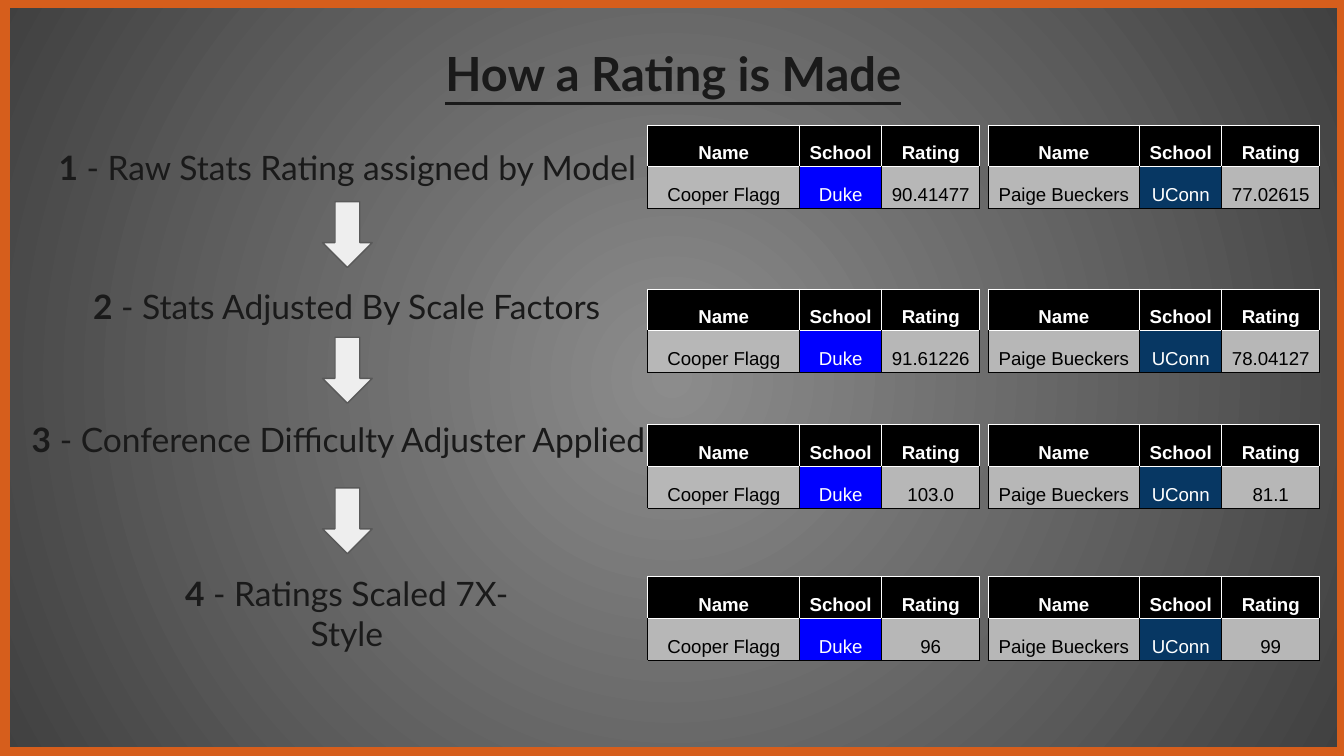
from dataclasses import dataclass

from lxml.etree import SubElement
from pptx import Presentation
from pptx.dml.color import RGBColor
from pptx.enum.shapes import MSO_SHAPE
from pptx.enum.text import MSO_ANCHOR, MSO_AUTO_SIZE, PP_ALIGN
from pptx.oxml import parse_xml
from pptx.oxml.ns import nsdecls, qn
from pptx.util import Inches, Pt

ORANGE = RGBColor(0xD6, 0x5E, 0x1C)
INK = RGBColor(0x1A, 0x1A, 0x1A)
WHITE = RGBColor(0xFF, 0xFF, 0xFF)
BLACK = RGBColor(0x00, 0x00, 0x00)
CELL_GRAY = RGBColor(0xB7, 0xB7, 0xB7)
ARROW_FILL = RGBColor(0xEE, 0xEE, 0xEE)
ARROW_LINE = RGBColor(0x59, 0x59, 0x59)
GLOW = RGBColor(0x8C, 0x8C, 0x8C)
SHADE = RGBColor(0x40, 0x40, 0x40)
BLUE = RGBColor(0x00, 0x00, 0xFF)
NAVY = RGBColor(0x07, 0x37, 0x63)

PAGE_WIDTH = Inches(10)
PAGE_HEIGHT = PAGE_WIDTH * 9 // 16
HEADERS = ("Name", "School", "Rating")
COLUMN_WIDTHS = (1.13, 0.61, 0.73)
ROW_HEIGHT = 0.31
ARROW_TOPS = (1.5, 2.51, 3.63)


@dataclass
class Player:
    name: str
    school: str
    color: RGBColor
    table_left: float


@dataclass
class Step:
    number: str
    label: str
    box: tuple[float, float, float, float]
    table_top: float
    ratings: tuple[str, str]


PLAYERS = (
    Player("Cooper Flagg", "Duke", BLUE, 4.82),
    Player("Paige Bueckers", "UConn", NAVY, 7.35),
)
STEPS = (
    Step("1", "Raw Stats Rating assigned by Model",
         (0.17, 0.99, 4.83, 0.5), 0.93, ("90.41477", "77.02615")),
    Step("2", "Stats Adjusted By Scale Factors",
         (-0.18, 2.03, 5.52, 0.37), 2.15, ("91.61226", "78.04127")),
    Step("3", "Conference Difficulty Adjuster Applied",
         (-0.24, 3.02, 5.52, 0.37), 3.16, ("103.0", "81.1")),
    Step("4", "Ratings Scaled 7X-Style",
         (1.07, 4.16, 3.02, 0.37), 4.29, ("96", "99")),
)


def add_span(para, text: str, *, size: float, color: RGBColor, font: str = "Lato",
             bold: bool = False, underline: bool = False) -> None:
    span = para.add_run()
    span.text = text
    span.font.name = font
    span.font.size = Pt(size)
    span.font.color.rgb = color
    span.font.bold = bold
    span.font.underline = underline


def prepare_frame(frame):
    """Set wrapping, margins and anchor; return the centred first paragraph."""
    frame.word_wrap = True
    frame.auto_size = MSO_AUTO_SIZE.NONE
    frame.vertical_anchor = MSO_ANCHOR.TOP
    frame.margin_left = frame.margin_right = Inches(0.1)
    frame.margin_top = frame.margin_bottom = Inches(0.1)
    para = frame.paragraphs[0]
    para.alignment = PP_ALIGN.CENTER
    return para


def paint_background(page) -> None:
    fill = page.background.fill
    fill.gradient()
    for stop, color, position in zip(fill.gradient_stops, (GLOW, SHADE), (0, 1)):
        stop.color.rgb = color
        stop.position = position
    # Turn the linear gradient into a circle around the middle
    linear = next(page.element.iter(qn("a:lin")))
    linear.getparent().replace(linear, parse_xml(
        f'<a:path {nsdecls("a")} path="circle">'
        '<a:fillToRect l="50000" t="50000" r="50000" b="50000"/></a:path>'))


def add_frame(page) -> None:
    border = page.shapes.add_shape(
        MSO_SHAPE.RECTANGLE, Inches(0.01), 0, PAGE_WIDTH, PAGE_HEIGHT)
    border.shadow.inherit = False
    border.fill.background()
    border.line.color.rgb = ORANGE
    border.line.width = Pt(9)


def add_title(page, text: str) -> None:
    title = page.shapes.title
    title.left, title.top = Inches(0.35), Inches(0.23)
    title.width, title.height = Inches(9.32), Inches(0.63)
    add_span(prepare_frame(title.text_frame), text,
             size=25.2, color=INK, bold=True, underline=True)


def add_step_label(page, step: Step) -> None:
    box = page.shapes.add_textbox(*map(Inches, step.box))
    para = prepare_frame(box.text_frame)
    add_span(para, step.number, size=18, color=INK, bold=True)
    add_span(para, f" - {step.label}", size=18, color=INK)


def add_arrow(page, top: float) -> None:
    arrow = page.shapes.add_shape(
        MSO_SHAPE.DOWN_ARROW, Inches(2.4), Inches(top), Inches(0.37), Inches(0.49))
    arrow.shadow.inherit = False
    arrow.fill.solid()
    arrow.fill.fore_color.rgb = ARROW_FILL
    arrow.line.color.rgb = ARROW_LINE
    arrow.line.width = Pt(0.75)


def set_borders(cell, sides: RGBColor) -> None:
    """Draw a white top edge and the other three edges in the given colour."""
    properties = cell._tc.get_or_add_tcPr()
    for edge, color in (("L", sides), ("R", sides), ("T", WHITE), ("B", sides)):
        line = SubElement(properties, qn(f"a:ln{edge}"), w=str(Pt(0.43)))
        solid = SubElement(line, qn("a:solidFill"))
        SubElement(solid, qn("a:srgbClr"), val=str(color))


def format_cell(cell, text: str, *, fill: RGBColor, color: RGBColor,
                border: RGBColor, bold: bool = False) -> None:
    set_borders(cell, border)
    cell.fill.solid()
    cell.fill.fore_color.rgb = fill
    cell.vertical_anchor = MSO_ANCHOR.BOTTOM
    cell.margin_left = cell.margin_right = Inches(0.03)
    cell.margin_top = cell.margin_bottom = Inches(0.02)
    para = cell.text_frame.paragraphs[0]
    para.alignment = PP_ALIGN.CENTER
    para.line_spacing = 1.15
    add_span(para, text, size=10, color=color, font="Arial", bold=bold)


def add_rating_table(page, player: Player, rating: str, top: float) -> None:
    table = page.shapes.add_table(
        2, len(HEADERS), Inches(player.table_left), Inches(top),
        Inches(sum(COLUMN_WIDTHS)), Inches(2 * ROW_HEIGHT)).table
    table.horz_banding = False
    for column, width in zip(table.columns, COLUMN_WIDTHS):
        column.width = Inches(width)
    values = (player.name, player.school, rating)
    fills = (CELL_GRAY, player.color, CELL_GRAY)
    colors = (BLACK, WHITE, BLACK)
    for index, header in enumerate(HEADERS):
        format_cell(table.cell(0, index), header,
                    fill=BLACK, color=WHITE, border=WHITE, bold=True)
        format_cell(table.cell(1, index), values[index],
                    fill=fills[index], color=colors[index], border=BLACK)


def main() -> None:
    deck = Presentation()
    deck.slide_width, deck.slide_height = PAGE_WIDTH, PAGE_HEIGHT
    page = deck.slides.add_slide(deck.slide_layouts[5])

    # Backdrop and title
    paint_background(page)
    add_frame(page)
    add_title(page, "How a Rating is Made")

    # Steps with one table per player
    for step in STEPS:
        add_step_label(page, step)
        for player, rating in zip(PLAYERS, step.ratings):
            add_rating_table(page, player, rating, step.table_top)

    # Arrows between steps
    for top in ARROW_TOPS:
        add_arrow(page, top)

    deck.save("out.pptx")


if __name__ == "__main__":
    main()
